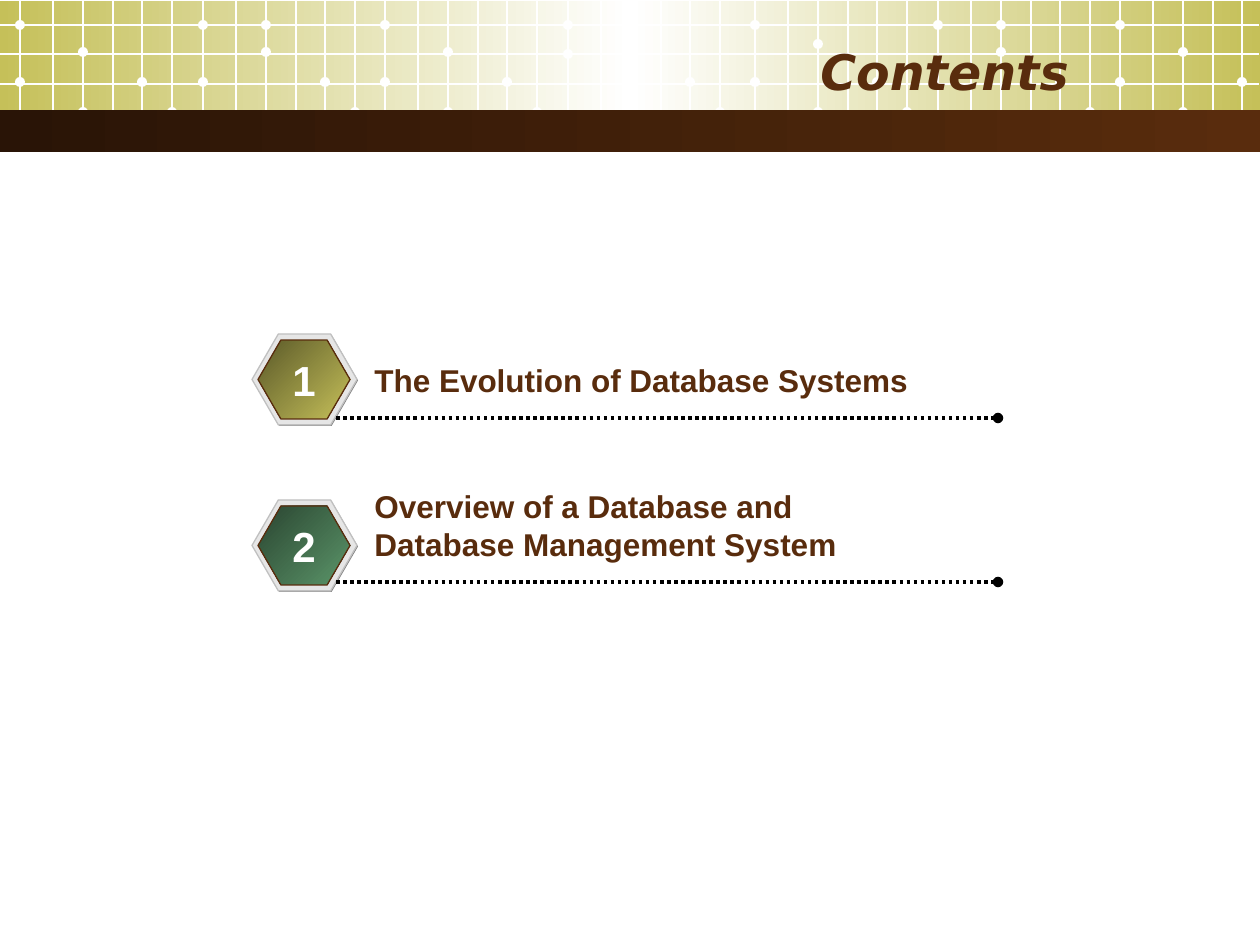
from lxml.etree import SubElement
from pptx import Presentation
from pptx.dml.color import RGBColor
from pptx.enum.dml import MSO_LINE
from pptx.enum.shapes import MSO_CONNECTOR, MSO_SHAPE
from pptx.enum.text import MSO_ANCHOR, PP_ALIGN
from pptx.oxml.ns import qn
from pptx.util import Pt

SCALE = 914400 / 126
WIDTH, HEIGHT = 1260, 945
COLORS = {
    "white": "FFFFFF",
    "black": "000000",
    "brown": "592C0D",
    "dark brown": "291406",
    "olive": "C5C059",
    "dark olive": "5B5929",
    "green": "5B9569",
    "dark green": "2A4531",
    "shadow": "808080",
    "rim": "E6E6E6",
    "rim edge": "C0C0C0",
}
BLOCK_STARTS = [20, 385, 755, 1120]
COLUMN_OFFSETS = [0, 33, 63, 93, 122, 152, 183, 216, 246, 276, 305, 335]
ROWS = [25, 54, 84, 112]
COLUMN_DOTS = {0: [25, 82], 2: [52, 112], 4: [82], 5: [112],
               6: [25, 82], 8: [25, 52], 10: [82], 11: [112]}
SHIFTED_DOTS = {(1, 6): [25, 54], (2, 2): [44, 112], (2, 6): [25, 64]}
ITEMS = [
    ("1", ["The Evolution of Database Systems"],
     ["dark olive", "olive"], 334, 418, 50),
    ("2", ["Overview of a Database and", "Database Management System"],
     ["dark green", "green"], 500, 582, 88),
]


def px(length):
    return round(length * SCALE)


def rgb(color):
    return RGBColor.from_string(COLORS[color])


def add_gradient(shape, colors, angle):
    shape.fill.gradient()
    shape.fill.gradient_angle = -angle % 360
    stops = shape._element.spPr.find(qn("a:gradFill")).find(qn("a:gsLst"))
    for stop in list(stops):
        stops.remove(stop)
    for index, color in enumerate(colors):
        position = 100000 * index // (len(colors) - 1)
        stop = SubElement(stops, qn("a:gs"), pos=str(position))
        SubElement(stop, qn("a:srgbClr"), val=COLORS[color])


def add_figure(slide, kind, left, top, width, height, colors, edge=None, angle=0):
    figure = slide.shapes.add_shape(kind, px(left), px(top), px(width), px(height))
    figure.shadow.inherit = False
    if len(colors) > 1:
        add_gradient(figure, colors, angle)
    else:
        figure.fill.solid()
        figure.fill.fore_color.rgb = rgb(colors[0])
    if edge:
        figure.line.color.rgb = rgb(edge)
        figure.line.width = Pt(0.75)
    else:
        figure.line.fill.background()
    return figure


def add_line(slide, x1, y1, x2, y2, color, weight=0.75):
    line = slide.shapes.add_connector(
        MSO_CONNECTOR.STRAIGHT, px(x1), px(y1), px(x2), px(y2))
    line.line.color.rgb = rgb(color)
    line.line.width = Pt(weight)
    SubElement(line._element.spPr, qn("a:effectLst"))
    return line


def add_text(slide, lines, left, top, width, height, size, color="brown",
             font="Arial", italic=False, align=PP_ALIGN.LEFT,
             anchor=MSO_ANCHOR.TOP, wrap=True):
    box = slide.shapes.add_textbox(px(left), px(top), px(width), px(height))
    frame = box.text_frame
    frame.word_wrap = wrap
    frame.vertical_anchor = anchor
    for index, words in enumerate(lines):
        paragraph = frame.add_paragraph() if index else frame.paragraphs[0]
        paragraph.alignment = align
        run = paragraph.add_run()
        run.text = words
        run.font.name = font
        run.font.size = Pt(size)
        run.font.bold = True
        run.font.italic = italic
        run.font.color.rgb = rgb(color)


def add_banner(slide):
    add_figure(slide, MSO_SHAPE.RECTANGLE, 0, 1, WIDTH, 128,
               ["olive", "white", "olive"])
    for block, start in enumerate(BLOCK_STARTS):
        for column, offset in enumerate(COLUMN_OFFSETS):
            x = start + offset
            if x > WIDTH:
                break
            add_line(slide, x, 1, x, 139, "white")
            dots = SHIFTED_DOTS.get((block, column), COLUMN_DOTS.get(column, []))
            for y in dots:
                add_figure(slide, MSO_SHAPE.OVAL, x - 5, y - 5, 10, 10, ["white"])
    for y in ROWS:
        add_line(slide, 0, y, WIDTH - 1, y, "white")
    add_figure(slide, MSO_SHAPE.RECTANGLE, 0, 110, WIDTH, 42,
               ["dark brown", "brown"])


def add_badge(slide, number, colors, top):
    layers = [
        (253, top + 1, 105, 91, ["shadow"], None),
        (252, top, 105, 91, ["rim"], "rim edge"),
        (258, top + 6, 92, 79, colors, "brown"),
    ]
    for left, layer_top, width, height, fill, edge in layers:
        hexagon = add_figure(slide, MSO_SHAPE.HEXAGON, left, layer_top, width,
                             height, fill, edge=edge, angle=45)
        hexagon.adjustments[0] = 0.29
    add_text(slide, [number], 280, top + 14, 48, 63, size=24, color="white",
             align=PP_ALIGN.CENTER, wrap=False)


def add_item(slide, number, lines, colors, badge_top, rule_y, text_height):
    add_badge(slide, number, colors, badge_top)
    rule = add_line(slide, 336, rule_y, 998, rule_y, "black", weight=2)
    rule.line.dash_style = MSO_LINE.ROUND_DOT
    SubElement(rule.line._get_or_add_ln(), qn("a:tailEnd"), type="oval")
    add_text(slide, lines, 362, rule_y - 13 - text_height, 740, text_height, size=18)


def main():
    deck = Presentation()
    deck.slide_width, deck.slide_height = px(WIDTH), px(HEIGHT)
    slide = deck.slides.add_slide(deck.slide_layouts[6])
    add_banner(slide)
    add_text(slide, ["Contents"], 63, 32, 1018, 78, size=28, font="DejaVu Sans",
             italic=True, align=PP_ALIGN.RIGHT, anchor=MSO_ANCHOR.MIDDLE)
    for item in ITEMS:
        add_item(slide, *item)
    deck.save("out.pptx")


if __name__ == "__main__":
    main()
